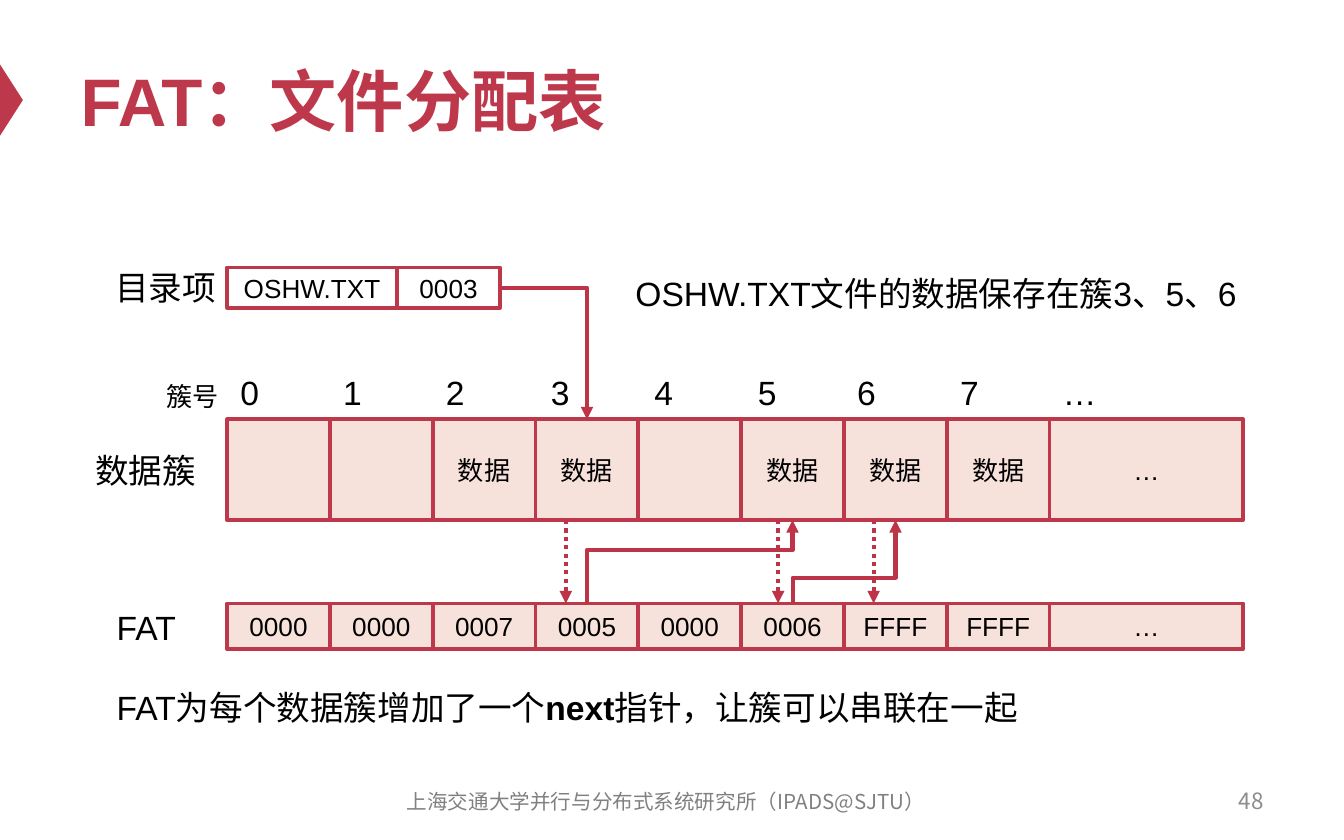
from dataclasses import dataclass

from lxml.etree import SubElement
from pptx import Presentation
from pptx.dml.color import RGBColor
from pptx.enum.dml import MSO_LINE
from pptx.enum.shapes import MSO_CONNECTOR as LINK, MSO_SHAPE as SHAPE
from pptx.enum.text import MSO_ANCHOR as ANCHOR, MSO_AUTO_SIZE as AUTO, PP_ALIGN as ALIGN
from pptx.oxml.ns import qn
from pptx.util import Emu, Pt

EMU_PER_PX = 4572  # 200 px to the inch


@dataclass(frozen=True)
class Theme:
    red: str = "BE384B"
    arrow: str = "BD3347"
    pink: str = "F7E2DB"
    white: str = "FFFFFF"
    black: str = "000000"
    number_gray: str = "8C8C8C"
    footer_gray: str = "808080"
    latin: str = "Arial"
    cjk: str = "Noto Sans CJK SC"
    title: int = 36
    body: int = 18
    cell: int = 14
    number: int = 12
    footer: int = 11
    border: float = 2
    arrow_width: float = 2.25


THEME = Theme()

TITLE = "FAT：文件分配表"
FOOTER = "上海交通大学并行与分布式系统研究所（IPADS@SJTU）"
PAGE = "48"
CLUSTERS = ["", "", "数据", "数据", "", "数据", "数据", "数据", "…"]
FAT_ENTRIES = ["0000", "0000", "0007", "0005", "0000", "0006", "FFFF", "FFFF", "…"]
CLUSTER_NUMBERS = ["0", "1", "2", "3", "4", "5", "6", "7", "…"]
NUMBER_NUDGES = [0, 0, 0, 3, 4, 5, 0, 0, 0]
DIRECTORY_ENTRY = [("OSHW.TXT", 253), ("0003", 153)]

# text, box (left, top, width, height), size
LABELS = [
    ("目录项", (152, 388, 194, 80), THEME.body),
    ("簇号", (228, 556, 118, 68), THEME.cell),
    ("数据簇", (122, 660, 192, 80), THEME.body),
    ("FAT", (154, 894, 130, 80), THEME.body),
    ([("FAT为每个数据簇增加了一个", False), ("next", True),
      ("指针，让簇可以串联在一起", False)], (154, 1012, 1436, 80), THEME.body),
]
FILE_NOTE = "OSHW.TXT文件的数据保存在簇3、5、6"

ROW_LEFT, PITCH, LAST_WIDTH = 338, 153, 288
ENTRY_TOP, ENTRY_HEIGHT = 398, 60
NUMBER_TOP = 544
CLUSTER_TOP, CLUSTER_HEIGHT = 624, 150
CLUSTER_BOTTOM = CLUSTER_TOP + CLUSTER_HEIGHT
FAT_TOP, FAT_HEIGHT = 898, 68

FIRST_CLUSTER = 3
CHAIN = [(3, 5, 0.64), (5, 6, 0.31)]  # from, to, where the bend lies
LOOKUPS = [842, 1158, 1300]


def px(*lengths):
    return [Emu(round(length * EMU_PER_PX)) for length in lengths]


def rgb(color):
    return RGBColor.from_string(color)


def cell_center(index):
    return ROW_LEFT + PITCH * (index + 0.5)


def write(frame, text, size=THEME.body, color=THEME.black, bold=False, font=THEME.latin,
          align=ALIGN.LEFT, anchor=ANCHOR.TOP, wrap=True, grow=False):
    """Fill a text frame with a string or with (text, bold) runs."""
    frame.word_wrap = wrap
    frame.vertical_anchor = anchor
    frame.auto_size = AUTO.SHAPE_TO_FIT_TEXT if grow else AUTO.NONE
    paragraph = frame.paragraphs[0]
    paragraph.alignment = align
    for words, strong in [(text, bold)] if isinstance(text, str) else text:
        run = paragraph.add_run()
        run.text = words
        run.font.name, run.font.size, run.font.bold = font, Pt(size), strong
        run.font.color.rgb = rgb(color)
        SubElement(run.font._element, qn("a:ea"), typeface=THEME.cjk)


def add_text(slide, text, box, **style):
    write(slide.shapes.add_textbox(*px(*box)).text_frame, text, **style)


def add_cell(slide, text, box, fill):
    cell = slide.shapes.add_shape(SHAPE.RECTANGLE, *px(*box))
    cell.shadow.inherit = False
    cell.fill.solid()
    cell.fill.fore_color.rgb = rgb(fill)
    cell.line.color.rgb = rgb(THEME.red)
    cell.line.width = Pt(THEME.border)
    if text:
        write(cell.text_frame, text, size=THEME.cell, align=ALIGN.CENTER,
              anchor=ANCHOR.MIDDLE)


def add_row(slide, entries, top, height):
    for index, text in enumerate(entries):
        width = LAST_WIDTH if index == len(entries) - 1 else PITCH
        add_cell(slide, text, (ROW_LEFT + PITCH * index, top, width, height), THEME.pink)


def add_arrow(slide, start, end, kind=LINK.STRAIGHT, dash=None):
    arrow = slide.shapes.add_connector(kind, *px(*start, *end))
    arrow.line.color.rgb = rgb(THEME.arrow)
    arrow.line.width = Pt(THEME.arrow_width)
    if dash:
        arrow.line.dash_style = dash
    SubElement(arrow.line._get_or_add_ln(), qn("a:tailEnd"), type="triangle")
    SubElement(arrow._element.spPr, qn("a:effectLst"))
    return arrow


def add_rising_arrow(slide, start, end, bend):
    """Draw an elbow that leaves upwards: a sideways elbow turned by 90 degrees."""
    (x1, y1), (x2, y2) = start, end
    middle_x, middle_y = (x1 + x2) / 2, (y1 + y2) / 2
    half_width, half_height = (y1 - y2) / 2, (x2 - x1) / 2
    arrow = add_arrow(slide, (middle_x + half_width, middle_y + half_height),
                      (middle_x - half_width, middle_y - half_height), LINK.ELBOW)
    properties = arrow._element.spPr
    properties.find(qn("a:xfrm")).set("rot", str(90 * 60000))
    adjustments = properties.find(qn("a:prstGeom")).find(qn("a:avLst"))
    SubElement(adjustments, qn("a:gd"), name="adj1", fmla=f"val {round(bend * 100000)}")


def add_frame(slide):
    """Add the title, its marker, the footer and the page number."""
    marker = slide.shapes.add_shape(SHAPE.ISOSCELES_TRIANGLE, *px(-36, 132, 106, 34))
    marker.rotation = 90
    marker.shadow.inherit = False
    marker.fill.solid()
    marker.fill.fore_color.rgb = rgb(THEME.red)
    marker.line.fill.background()

    title = slide.shapes.title
    title.left, title.top, title.width, title.height = px(100, 50, 1800, 196)
    write(title.text_frame, TITLE, size=THEME.title, color=THEME.red, bold=True,
          anchor=ANCHOR.MIDDLE)
    add_text(slide, PAGE, (1434, 1158, 466, 66), size=THEME.number, font=THEME.cjk,
             color=THEME.number_gray, align=ALIGN.RIGHT, anchor=ANCHOR.MIDDLE)
    add_text(slide, FOOTER, (558, 1160, 866, 66), size=THEME.footer, font=THEME.cjk,
             color=THEME.footer_gray, align=ALIGN.CENTER, anchor=ANCHOR.MIDDLE)


def add_diagram(slide):
    add_row(slide, FAT_ENTRIES, FAT_TOP, FAT_HEIGHT)
    add_row(slide, CLUSTERS, CLUSTER_TOP, CLUSTER_HEIGHT)
    for index, (number, nudge) in enumerate(zip(CLUSTER_NUMBERS, NUMBER_NUDGES)):
        width = 90 if number == "…" else 68
        add_text(slide, number, (ROW_LEFT + PITCH * index + nudge, NUMBER_TOP, width, 80),
                 wrap=False, grow=True)

    entry_right = ROW_LEFT
    for text, width in DIRECTORY_ENTRY:
        add_cell(slide, text, (entry_right, ENTRY_TOP, width, ENTRY_HEIGHT), THEME.white)
        entry_right += width
    for text, box, size in LABELS:
        add_text(slide, text, box, size=size, wrap=False, grow=True)

    first_link = add_arrow(slide, (entry_right, ENTRY_TOP + ENTRY_HEIGHT / 2),
                           (cell_center(FIRST_CLUSTER), CLUSTER_TOP), LINK.ELBOW)
    first_link._element.spPr.find(qn("a:prstGeom")).set("prst", "bentConnector2")
    for source, target, bend in CHAIN:
        add_rising_arrow(slide, (cell_center(source), FAT_TOP),
                         (cell_center(target), CLUSTER_BOTTOM), bend)
    for x in LOOKUPS:
        add_arrow(slide, (x, CLUSTER_BOTTOM), (x, FAT_TOP), dash=MSO_LINE.ROUND_DOT)
    add_text(slide, FILE_NOTE, (926, 396, 944, 80), grow=True)


def main():
    deck = Presentation()
    deck.slide_width, deck.slide_height = px(2000, 1250)
    slide = deck.slides.add_slide(deck.slide_layouts[5])
    add_frame(slide)
    add_diagram(slide)
    deck.save("out.pptx")


if __name__ == "__main__":
    main()
